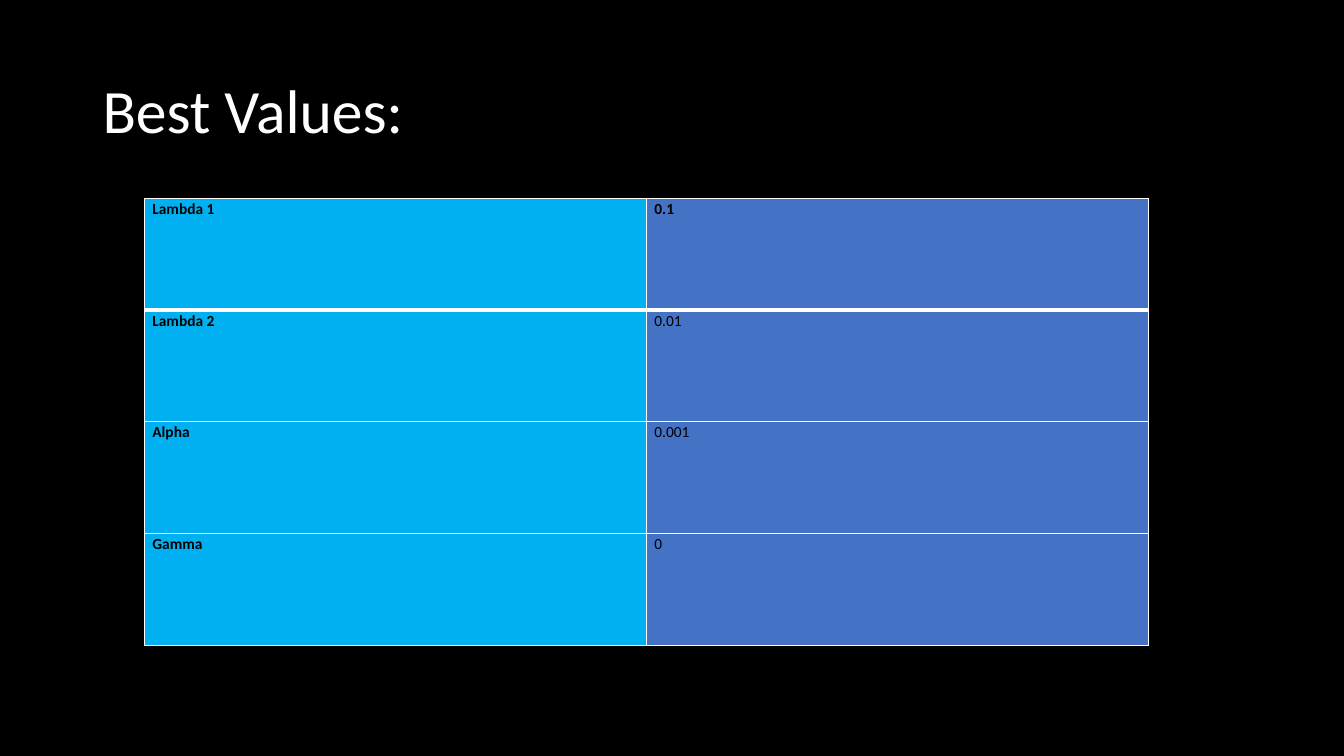
"""Build a slide that lists the best parameter values in a table."""
from dataclasses import dataclass

from lxml import etree
from pptx import Presentation
from pptx import util as u
from pptx.dml.color import RGBColor
from pptx.enum import text
from pptx.oxml.ns import qn

FONT = "Calibri"
BLACK, WHITE, CYAN, BLUE = "000000", "FFFFFF", "00B0F0", "4472C4"
THIN, THICK = 1, 3


@dataclass
class Parameter:
    name: str
    value: str


PARAMETERS = [
    Parameter("Lambda 1", "0.1"),
    Parameter("Lambda 2", "0.01"),
    Parameter("Alpha", "0.001"),
    Parameter("Gamma", "0"),
]


def paint(fill, colour: str) -> None:
    fill.solid()
    fill.fore_color.rgb = RGBColor.from_string(colour)


def write(frame, words: str, *, size: float, colour: str,
          bold: bool = False, spacing: float = 1.0) -> None:
    para = frame.paragraphs[0]
    para.alignment = text.PP_ALIGN.LEFT
    para.line_spacing = spacing
    span = para.add_run()
    span.text = words
    span.font.name = FONT
    span.font.size = u.Pt(size)
    span.font.bold = bold
    span.font.color.rgb = RGBColor.from_string(colour)


def draw_borders(cell, top: float, bottom: float) -> None:
    properties = cell._tc.get_or_add_tcPr()
    widths = {"a:lnL": THIN, "a:lnR": THIN, "a:lnT": top, "a:lnB": bottom}
    for tag, width in widths.items():
        line = etree.SubElement(properties, qn(tag), w=str(u.Pt(width)))
        fill = etree.SubElement(line, qn("a:solidFill"))
        etree.SubElement(fill, qn("a:srgbClr"), val=WHITE)


def draw_title(slide, words: str) -> None:
    title = slide.shapes.title
    title.left, title.top = u.Cm(2.33), u.Cm(1.01)
    title.width, title.height = u.Cm(29.21), u.Cm(3.68)
    frame = title.text_frame
    frame.word_wrap = True
    frame.auto_size = text.MSO_AUTO_SIZE.NONE
    frame.vertical_anchor = text.MSO_ANCHOR.MIDDLE
    write(frame, words, size=44, colour=WHITE, spacing=0.9)


def draw_cell(cell, words: str, fill: str, bold: bool, row: int) -> None:
    cell.margin_left = cell.margin_right = u.Cm(0.19)
    cell.margin_top = cell.margin_bottom = 0
    cell.vertical_anchor = text.MSO_ANCHOR.TOP
    draw_borders(cell, top=THICK if row == 1 else THIN,
                 bottom=THICK if row == 0 else THIN)
    paint(cell.fill, fill)
    write(cell.text_frame, words, size=11, colour=BLACK, bold=bold,
          spacing=1.07)


def draw_table(slide, parameters: list[Parameter]) -> None:
    table = slide.shapes.add_table(
        len(parameters), 2, u.Cm(3.65), u.Cm(5), u.Cm(25.3), u.Cm(11.26)
    ).table
    for row, parameter in enumerate(parameters):
        draw_cell(table.cell(row, 0), parameter.name, CYAN, True, row)
        draw_cell(table.cell(row, 1), parameter.value, BLUE, row == 0, row)


def main() -> None:
    deck = Presentation()
    deck.slide_width, deck.slide_height = u.Cm(33.87), u.Cm(19.05)
    slide = deck.slides.add_slide(deck.slide_layouts.get_by_name("Title Only"))
    paint(slide.background.fill, BLACK)
    draw_title(slide, "Best Values:")
    draw_table(slide, PARAMETERS)
    deck.save("out.pptx")


if __name__ == "__main__":
    main()
